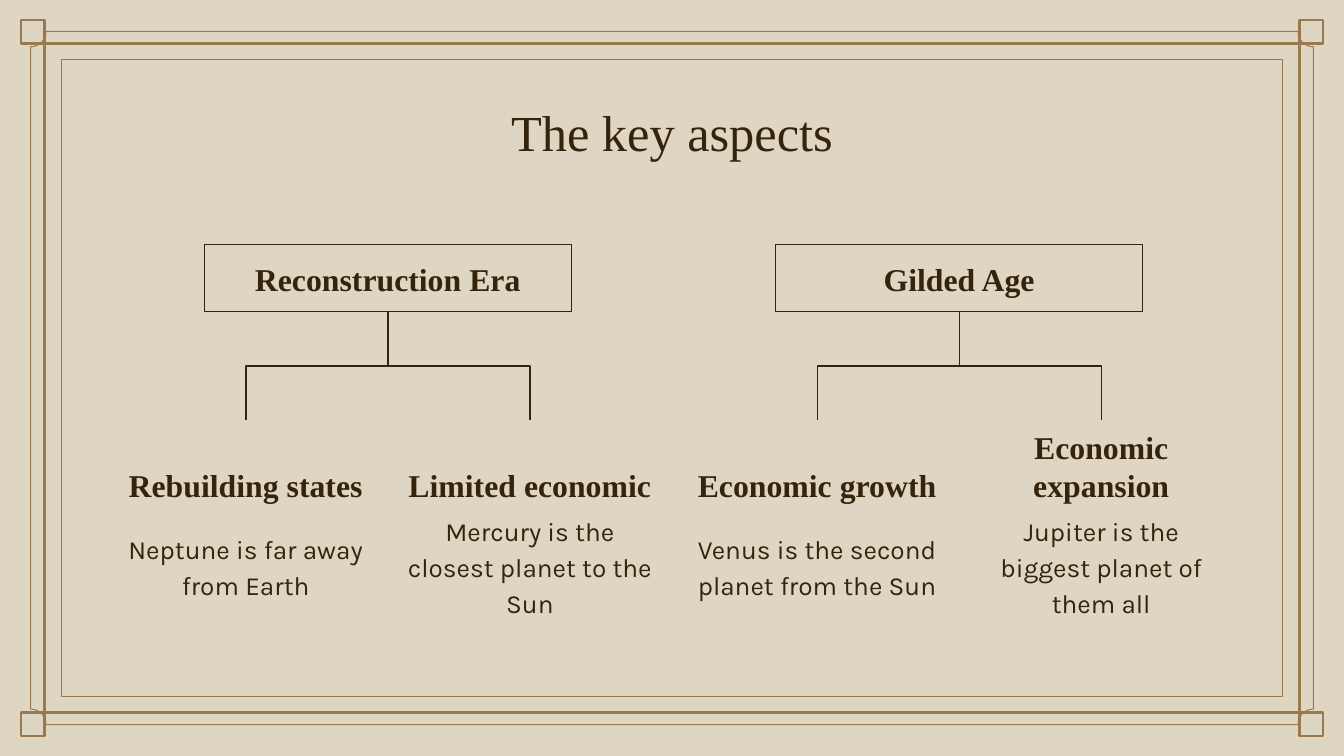
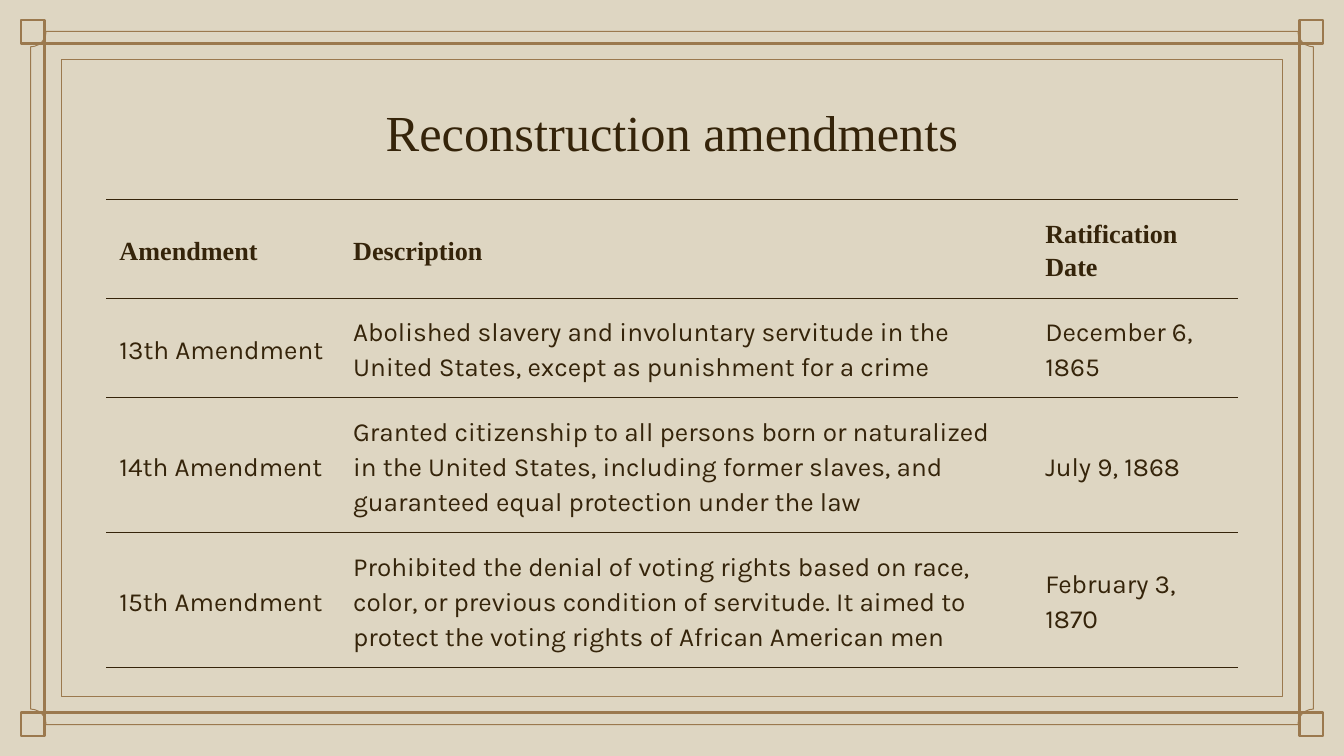
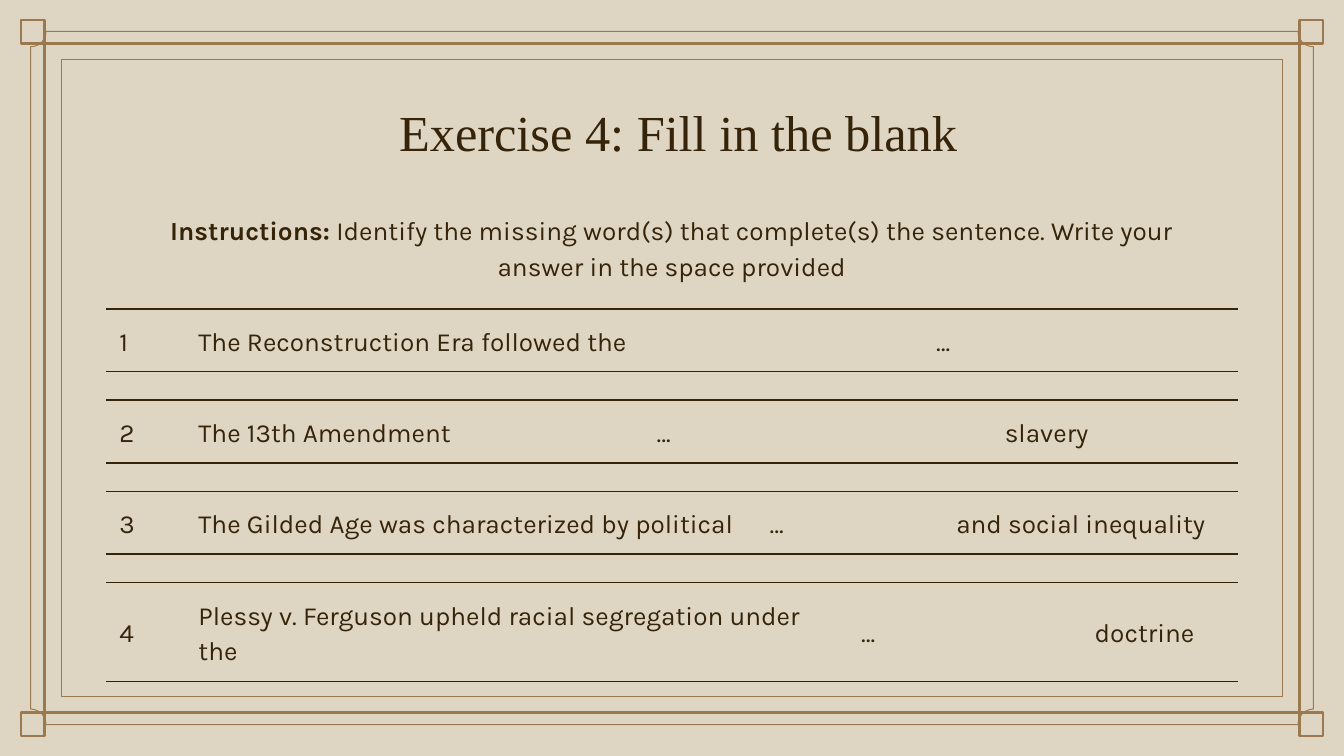
import math

import pptx
import pptx.dml.color
import pptx.enum.shapes
import pptx.enum.text
import pptx.oxml
import pptx.oxml.ns
import pptx.util

Pt = pptx.util.Pt
Kind = pptx.enum.shapes.MSO_SHAPE
Link = pptx.enum.shapes.MSO_CONNECTOR
Align = pptx.enum.text.PP_ALIGN
Anchor = pptx.enum.text.MSO_ANCHOR
qn = pptx.oxml.ns.qn

PAPER = pptx.dml.color.RGBColor(0xDE, 0xD6, 0xC2)
GOLD = pptx.dml.color.RGBColor(0x9B, 0x79, 0x4E)
INK = pptx.dml.color.RGBColor(0x35, 0x24, 0x0A)
SERIF = "Times New Roman"
SANS = "Karla"
WIDE, HIGH = 720, 405
LEFT = 56.8
SPAN = WIDE - 2 * LEFT


def outline(shape, color, weight):
    shape.shadow.inherit = False
    shape.fill.background()
    shape.line.color.rgb = color
    shape.line.width = Pt(weight)


def add_box(slide, x, y, w, h, color, weight):
    box = slide.shapes.add_shape(Kind.RECTANGLE, Pt(x), Pt(y), Pt(w), Pt(h))
    outline(box, color, weight)
    return box


def add_inset(slide, x, y, weight):
    add_box(slide, x, y, WIDE - 2 * x, HIGH - 2 * y, GOLD, weight)


def add_notched(slide, x, y, radius):
    right, low = WIDE - x, HIGH - y
    dots = []
    for turn, (cx, cy) in enumerate([(x, y), (right, y), (right, low), (x, low)]):
        for step in range(7):
            angle = math.radians(90 + 90 * turn - 15 * step)
            dots.append((Pt(cx + radius * math.cos(angle)),
                         Pt(cy + radius * math.sin(angle))))
    path = slide.shapes.build_freeform(*dots[0])
    path.add_line_segments(dots[1:], close=True)
    outline(path.convert_to_shape(), GOLD, 0.5)


def add_frame(slide):
    x, y, size = 11.3, 10.8, 12.5
    for left in (x, WIDE - x - size):
        for top in (y, HIGH - y - size):
            add_box(slide, left, top, size, size, GOLD, 1.28)
    add_inset(slide, x + size, y + size, 1.28)
    add_inset(slide, 33, 31.9, 0.5)
    add_notched(slide, 16.4, 16.8, 8.3)


def set_host(host, anchor):
    host.vertical_anchor = anchor
    host.margin_left = host.margin_right = Pt(7.2)
    host.margin_top = host.margin_bottom = Pt(7.2)


def write(frame, text, size, font, bold=False, align=Align.CENTER,
          pitch=1.0, after=0, lead=""):
    para = frame.paragraphs[0]
    para.alignment = align
    para.line_spacing = pitch
    para.space_after = Pt(after)
    para.font.size = Pt(size)
    para.font.name = font
    para.font.bold = bold
    para.font.color.rgb = INK
    if lead:
        run = para.add_run()
        run.text = lead
        run.font.bold = True
    para.add_run().text = text


def add_text(slide, x, y, w, h, text, size, font, anchor=Anchor.TOP, **style):
    frame = slide.shapes.add_textbox(Pt(x), Pt(y), Pt(w), Pt(h)).text_frame
    frame.word_wrap = True
    set_host(frame, anchor)
    write(frame, text, size, font, **style)


def add_slide(deck, title):
    slide = deck.slides.add_slide(deck.slide_layouts[6])
    slide.background.fill.solid()
    slide.background.fill.fore_color.rgb = PAPER
    add_frame(slide)
    add_text(slide, LEFT, 46.8, SPAN, 45.4, title, 27, SERIF)
    return slide


def add_branch(slide, x, y, drop, reach, side):
    mid, half = x + side * reach / 2, side * drop / 2
    line = slide.shapes.add_connector(
        Link.ELBOW, Pt(mid + half), Pt(y + drop / 2 - reach / 2),
        Pt(mid - half), Pt(y + drop / 2 + reach / 2))
    line.line.color.rgb = INK
    line.line.width = Pt(0.75)
    props = line.element.spPr
    props.find(qn("a:xfrm")).set("rot", str(60000 * (90 if side < 0 else 270)))
    props.append(pptx.oxml.parse_xml(
        '<a:effectLst xmlns:a="http://schemas.openxmlformats.org/drawingml/2006/main"/>'))


def add_tree(slide, x, head, leaves):
    top, high, drop, reach, wide = 131, 36, 58.2, 76.1, 146.2
    box = add_box(slide, x - 98.3, top, 196.6, high, INK, 0.75)
    box.text_frame.word_wrap = True
    set_host(box.text_frame, Anchor.BOTTOM)
    write(box.text_frame, head, 17, SERIF, bold=True)
    for side, (name, note) in zip((-1, 1), leaves):
        left = x + side * reach - wide / 2
        add_text(slide, left, 225.4, wide, 51.8, name, 17, SERIF,
                 Anchor.BOTTOM, bold=True)
        add_text(slide, left, 280, wide, 45.4, note, 14, SANS,
                 Anchor.MIDDLE, pitch=1.15)
        add_branch(slide, x, top + high, drop, reach, side)


def set_edges(cell, weight):
    props = cell._tc.get_or_add_tcPr()
    for edge in "LRTB":
        line = props.makeelement(qn("a:ln" + edge), {"w": str(int(Pt(weight)))})
        props.append(line)
        if edge in "LR":
            line.append(line.makeelement(qn("a:noFill"), {}))
        else:
            fill = line.makeelement(qn("a:solidFill"), {})
            fill.append(fill.makeelement(qn("a:srgbClr"), {"val": str(INK)}))
            line.append(fill)
    cell.fill.background()


def add_grid(slide, top, cols, highs, rows, weight, header=False, after=0):
    grid = slide.shapes.add_table(len(rows), len(cols), Pt(LEFT), Pt(top),
                                  Pt(sum(cols)), Pt(sum(highs))).table
    grid.first_row = header
    grid.horz_banding = False
    for col, wide in zip(grid.columns, cols):
        col.width = Pt(wide)
    for r, (row, high) in enumerate(zip(rows, highs)):
        grid.rows[r].height = Pt(high)
        for c, text in enumerate(row):
            cell = grid.cell(r, c)
            set_host(cell, Anchor.MIDDLE)
            set_edges(cell, weight)
            head = header and r == 0
            write(cell.text_frame, text, 14, SERIF if head else SANS,
                  bold=head, align=Align.LEFT, pitch=1.15, after=after)


def main():
    deck = pptx.Presentation()
    deck.slide_width, deck.slide_height = Pt(WIDE), Pt(HIGH)

    slide = add_slide(deck, "The key aspects")
    add_tree(slide, 207.8, "Reconstruction Era", [
        ("Rebuilding states", "Neptune is far away from Earth"),
        ("Limited economic", "Mercury is the closest planet to the Sun")])
    add_tree(slide, 513.9, "Gilded Age", [
        ("Economic growth", "Venus is the second planet from the Sun"),
        ("Economic expansion", "Jupiter is the biggest planet of them all")])

    slide = add_slide(deck, "Reconstruction amendments")
    add_grid(slide, 107, [125.2, 370.8, 110.7], [49.8, 52, 70.6, 70.6], [
        ("Amendment", "Description", "Ratification Date"),
        ("13th Amendment",
         "Abolished slavery and involuntary servitude in the United States, "
         "except as punishment for a crime", "December 6, 1865"),
        ("14th Amendment",
         "Granted citizenship to all persons born or naturalized in the "
         "United States, including former slaves, and guaranteed equal "
         "protection under the law", "July 9, 1868"),
        ("15th Amendment",
         "Prohibited the denial of voting rights based on race, color, or "
         "previous condition of servitude. It aimed to protect the voting "
         "rights of African American men", "February 3, 1870"),
    ], 0.6, header=True)

    slide = add_slide(deck, " Exercise 4: Fill in the blank")
    tasks = [
        ([395.2, 169.2], ("The Reconstruction Era followed the", "…")),
        ([245.5, 186.5, 132.4], ("The 13th Amendment", "…", "slavery")),
        ([306, 100, 158.4], ("The Gilded Age was characterized by political",
                             "…", "and social inequality")),
        ([355, 125.2, 84.2],
         ("Plessy v. Ferguson upheld racial segregation under the",
          "…", "doctrine")),
    ]
    for i, (cols, parts) in enumerate(tasks):
        add_grid(slide, 165.5 + 48.8 * i, [42.3] + cols, [31],
                 [(str(i + 1),) + parts], 0.75, after=16)
    add_text(slide, 75.6, 105.1, 568.8, 51.1,
             " Identify the missing word(s) that complete(s) the sentence. "
             "Write your answer in the space provided",
             14, SANS, pitch=1.15, lead="Instructions:")

    deck.save("out.pptx")


if __name__ == "__main__":
    main()
